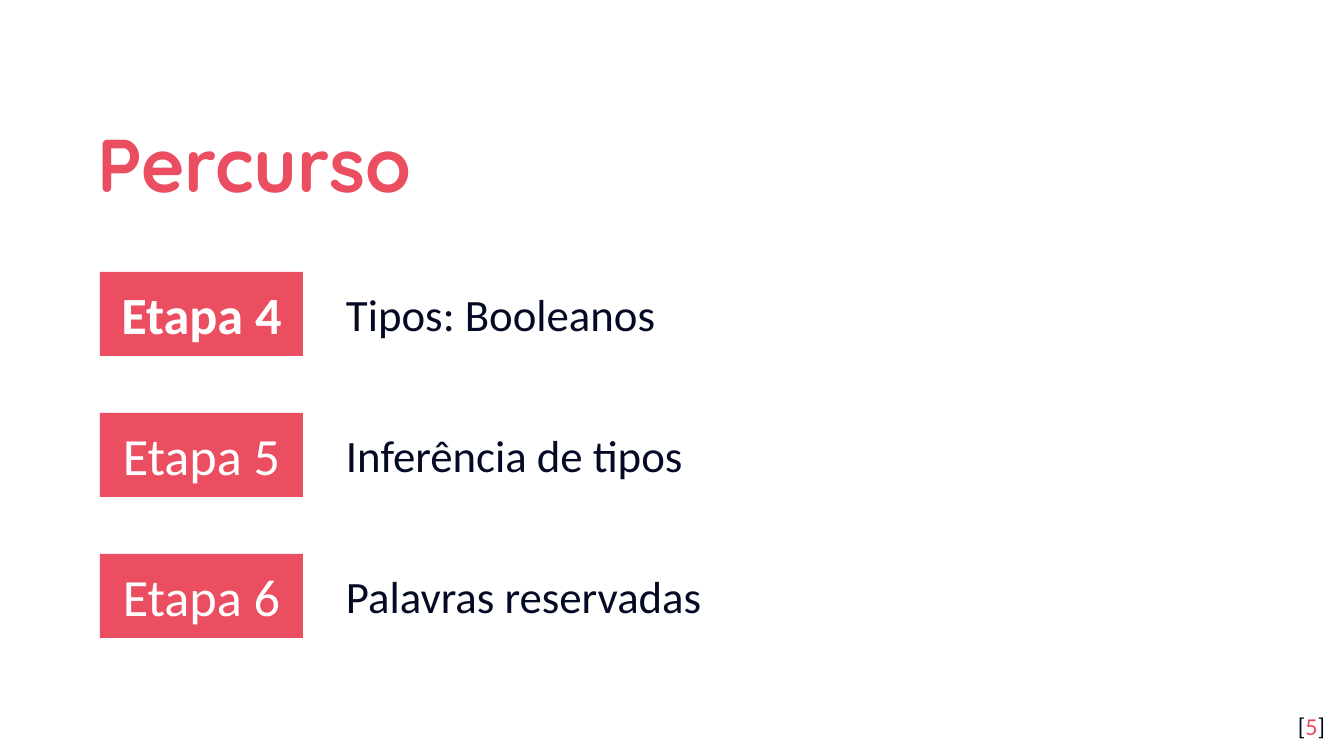
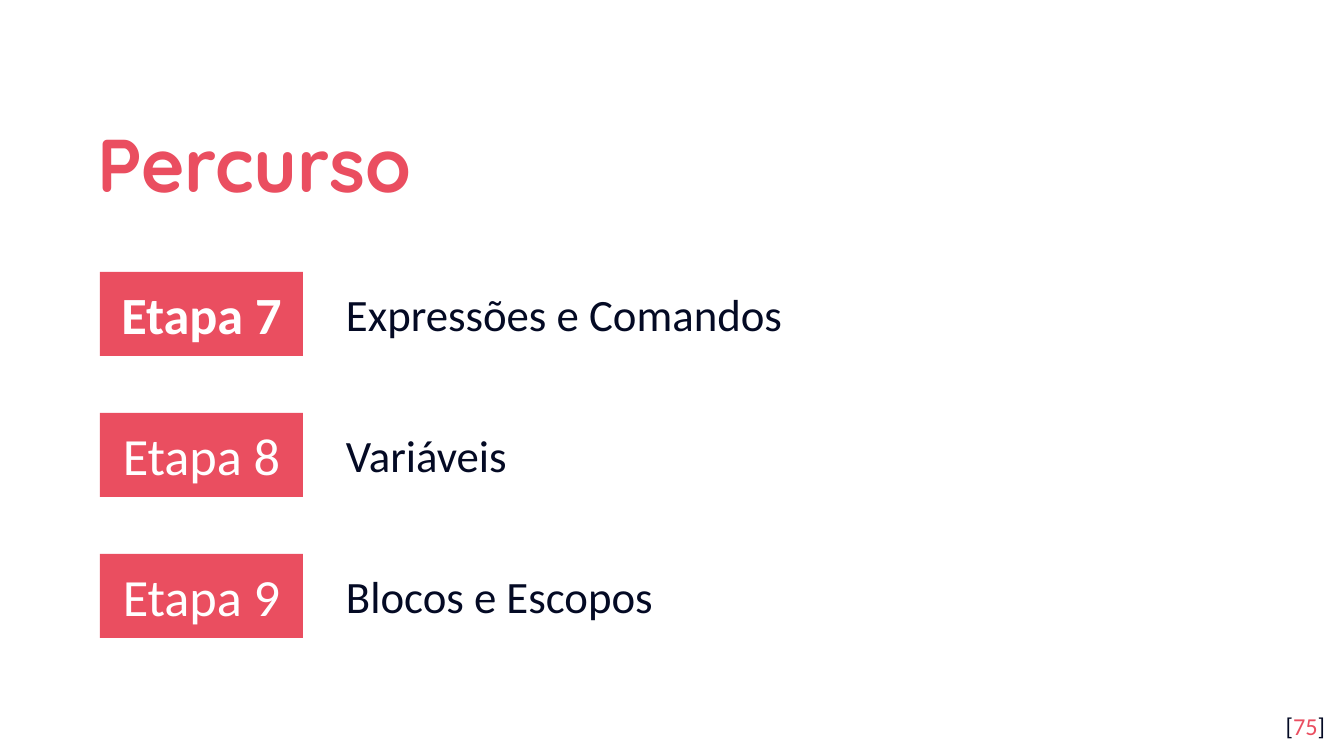
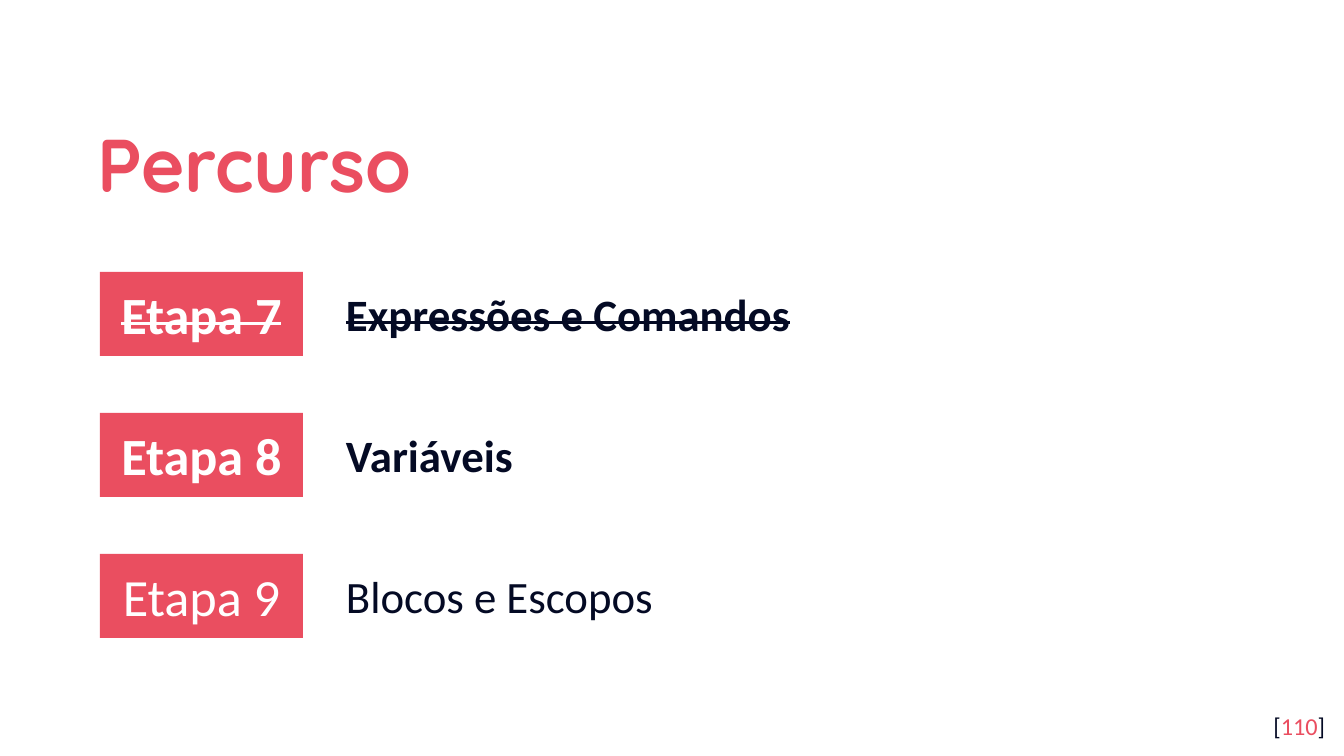
import pptx
import pptx.dml.color
import pptx.enum.shapes
import pptx.enum.text
import pptx.util

PX = 914400 / 134.4
COLORS = {"accent": "EA4E60", "ink": "040A24", "paper": "FFFFFF"}
ALIGN = pptx.enum.text.PP_ALIGN
ANCHOR = pptx.enum.text.MSO_ANCHOR

FIRST_ROW_TOP = 272
ROW_STEP = 141
BADGE_LEFT, BADGE_WIDTH, BADGE_HEIGHT = 100, 203, 84
TOPIC_LEFT, TOPIC_WIDTH, TOPIC_HEIGHT = 332, 907, 67
INSET_X, INSET_Y, TOPIC_INSET_Y = 14, 13, 7

# Each step: name, topic, bold name, bold topic, struck through
SLIDES = [
    ("5", [
        ("Etapa 4", "Tipos: Booleanos", True, False, False),
        ("Etapa 5", "Inferência de tipos", False, False, False),
        ("Etapa 6", "Palavras reservadas", False, False, False),
    ]),
    ("75", [
        ("Etapa 7", "Expressões e Comandos", True, False, False),
        ("Etapa 8", "Variáveis", False, False, False),
        ("Etapa 9", "Blocos e Escopos", False, False, False),
    ]),
    ("110", [
        ("Etapa 7", "Expressões e Comandos", True, True, True),
        ("Etapa 8", "Variáveis", True, True, False),
        ("Etapa 9", "Blocos e Escopos", False, False, False),
    ]),
]


def px(*lengths):
    """Turn pixel lengths into a list of EMU lengths."""
    return [pptx.util.Emu(round(length * PX)) for length in lengths]


def write(box, text, size, color, font="Calibri", bold=False, struck=False,
          align=ALIGN.LEFT, anchor=ANCHOR.TOP, inset_y=INSET_Y):
    """Append text to the first paragraph of a box and format the box."""
    frame = box.text_frame
    frame.word_wrap = True
    frame.auto_size = pptx.enum.text.MSO_AUTO_SIZE.NONE
    frame.vertical_anchor = anchor
    frame.margin_left, frame.margin_right = px(INSET_X, INSET_X)
    frame.margin_top, frame.margin_bottom = px(inset_y, inset_y)
    para = frame.paragraphs[0]
    para.alignment = align
    span = para.add_run()
    span.text = text
    span.font.name = font
    span.font.size = pptx.util.Pt(size)
    span.font.bold = bold
    span.font.color.rgb = pptx.dml.color.RGBColor.from_string(COLORS[color])
    if struck:
        span._r.get_or_add_rPr().set("strike", "sngStrike")
    return para


deck = pptx.Presentation()
deck.slide_width, deck.slide_height = px(1344, 756)
title_only = deck.slide_layouts[5]

for number, steps in SLIDES:
    page = deck.slides.add_slide(title_only)

    title = page.shapes.title
    title.left, title.top, title.width, title.height = px(83, 94, 1089, 124)
    para = write(title, "Percurso", 40, "accent", font="Quicksand", bold=True,
                 anchor=ANCHOR.MIDDLE)
    para.line_spacing = 1.15

    for row, (name, topic, bold_name, bold_topic, struck) in enumerate(steps):
        top = FIRST_ROW_TOP + row * ROW_STEP
        badge = page.shapes.add_shape(
            pptx.enum.shapes.MSO_SHAPE.RECTANGLE,
            *px(BADGE_LEFT, top, BADGE_WIDTH, BADGE_HEIGHT))
        badge.shadow.inherit = False
        badge.fill.solid()
        badge.fill.fore_color.rgb = pptx.dml.color.RGBColor.from_string(COLORS["accent"])
        badge.line.fill.background()
        write(badge, name, 28, "paper", bold=bold_name, struck=struck,
              align=ALIGN.CENTER, anchor=ANCHOR.MIDDLE)

        topic_top = top + (BADGE_HEIGHT - TOPIC_HEIGHT) // 2
        topic_right, topic_bottom = TOPIC_LEFT + TOPIC_WIDTH, topic_top + TOPIC_HEIGHT
        outline = page.shapes.build_freeform(TOPIC_LEFT, topic_top, scale=PX)
        outline.add_line_segments([(topic_right, topic_top), (topic_right, topic_bottom),
                                   (TOPIC_LEFT, topic_bottom)])
        topic_box = outline.convert_to_shape()
        topic_box.shadow.inherit = False
        topic_box.fill.background()
        topic_box.line.fill.background()
        write(topic_box, topic, 24, "ink", bold=bold_topic, struck=struck,
              inset_y=TOPIC_INSET_Y)

    number_box = page.shapes.add_textbox(*px(1258, 698, 81, 58))
    for text, color in (("[", "ink"), (number, "accent"), ("]", "ink")):
        write(number_box, text, 13, color, align=ALIGN.RIGHT)

deck.save("out.pptx")
